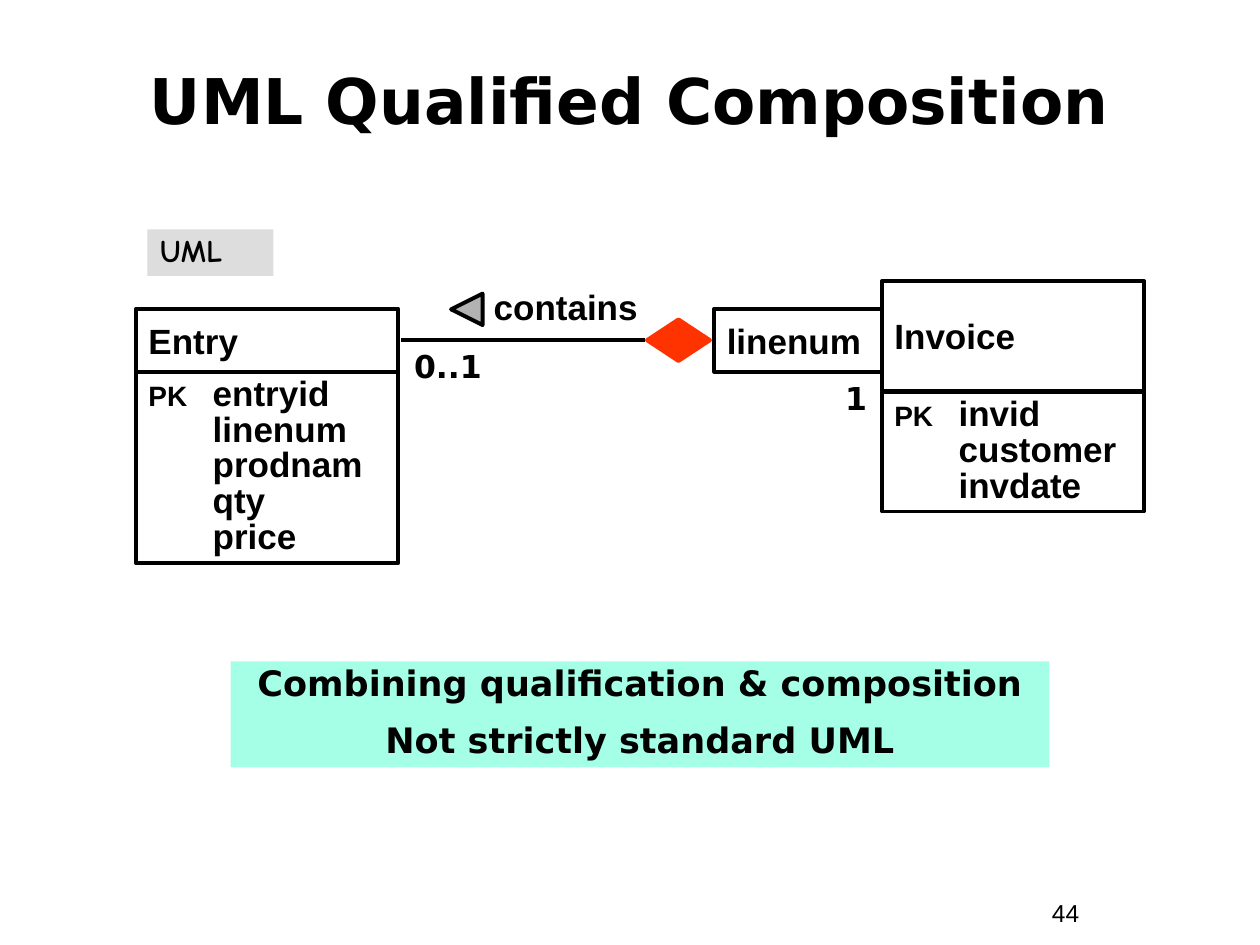
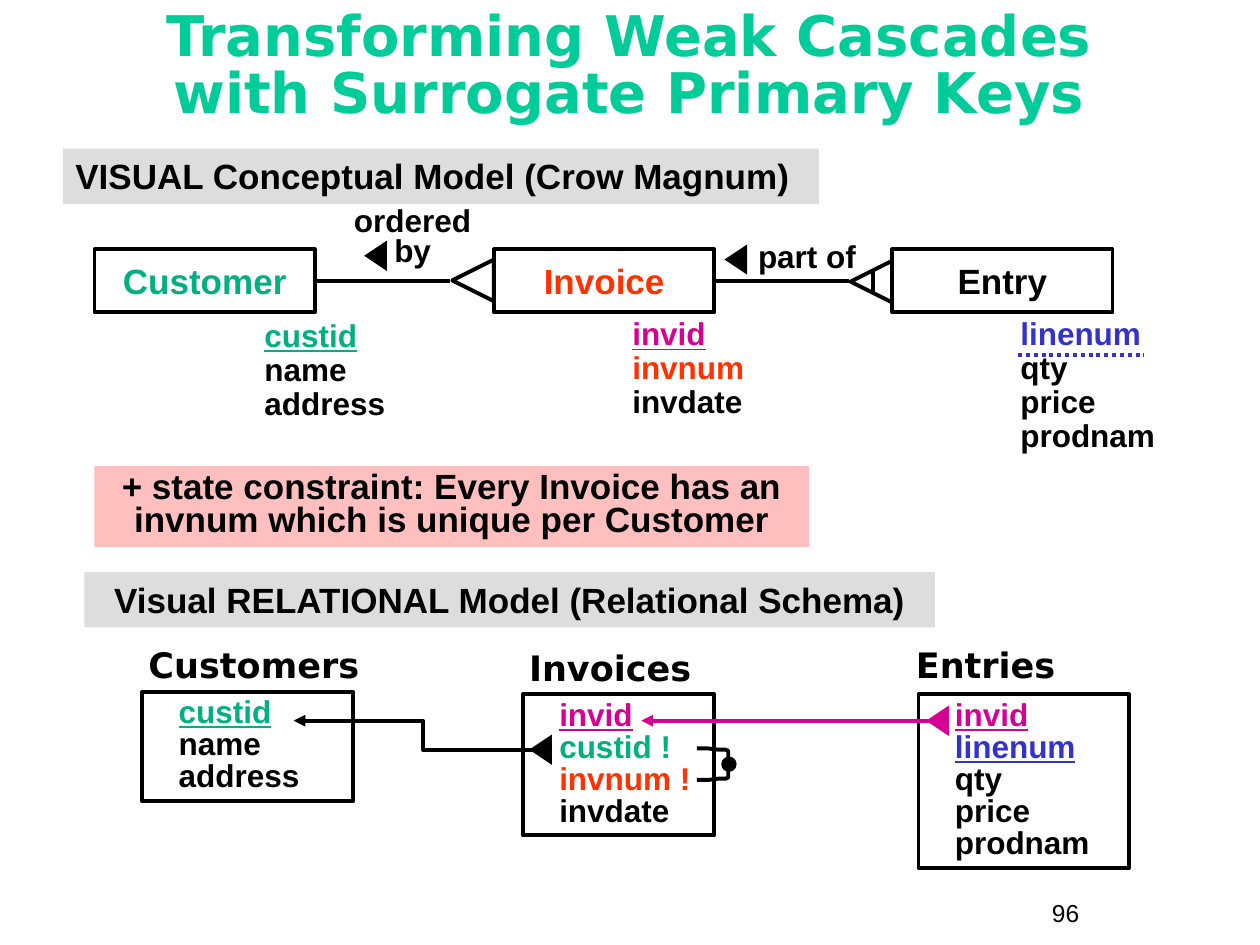
from typing import NamedTuple, Optional

from lxml import etree
from pptx import Presentation
from pptx.dml.color import RGBColor
from pptx.enum.dml import MSO_LINE_DASH_STYLE as DASH
from pptx.enum.shapes import MSO_CONNECTOR as CONN, MSO_SHAPE as SHAPE
from pptx.enum.text import MSO_ANCHOR as ANCHOR, MSO_AUTO_SIZE as AUTO, PP_ALIGN as ALIGN
from pptx.oxml.ns import qn
from pptx.util import Inches, Pt

SANS, DISPLAY, HAND = "Arial", "DejaVu Sans", "Comic Neue"
BLACK, GRAY, BAND = "000000", "B2B2B2", "DDDDDD"
MINT, PINK = "A5FFE7", "FFBFBF"
TEAL, GREEN, RED, MAGENTA, BLUE = "00CC99", "00B082", "FF3300", "D60093", "3333CC"
LINE_WIDTH = 2.25


class Run(NamedTuple):
    text: str
    color: str = BLACK
    underline: bool = False
    size: Optional[float] = None


def rgb(color):
    return RGBColor.from_string(color)


def write(tf, lines, size=20, font=SANS, align=ALIGN.LEFT, spacing=1.0, before=0,
          anchor=ANCHOR.TOP, indent=0, tab=None, bold=True):
    """Fill a text frame; each line is a string, a Run or a list of Runs."""
    tf.word_wrap = True
    tf.auto_size = AUTO.NONE
    tf.vertical_anchor = anchor
    for i, line in enumerate(lines):
        p = tf.paragraphs[0] if i == 0 else tf.add_paragraph()
        p.alignment, p.line_spacing = align, spacing
        p.space_before = Pt(before if i else 0)
        pPr = p._p.get_or_add_pPr()
        if indent:
            pPr.set("marL", str(Inches(indent)))
            pPr.set("indent", "0")
        if tab:
            tabs = etree.SubElement(pPr, qn("a:tabLst"))
            etree.SubElement(tabs, qn("a:tab"), pos=str(Inches(tab)), algn="l")
        if isinstance(line, str):
            line = Run(line)
        for run in [line] if isinstance(line, Run) else line:
            r = p.add_run()
            r.text = run.text
            r.font.name, r.font.bold = font, bold
            r.font.size = Pt(run.size or size)
            r.font.underline = run.underline
            r.font.color.rgb = rgb(run.color)


def paint(sp, fill=None, line=None):
    sp.shadow.inherit = False
    if fill:
        sp.fill.solid()
        sp.fill.fore_color.rgb = rgb(fill)
    else:
        sp.fill.background()
    if line:
        sp.line.color.rgb = rgb(line)
        sp.line.width = Pt(LINE_WIDTH)
    else:
        sp.line.fill.background()


def add_preset(slide, kind, at, fill=None, line=None, rotation=0):
    sp = slide.shapes.add_shape(kind, *map(Inches, at))
    sp.rotation = rotation
    paint(sp, fill, line)
    return sp


def add_box(slide, at, lines, fill=None, line=None, **style):
    sp = add_preset(slide, SHAPE.RECTANGLE, at, fill, line)
    write(sp.text_frame, lines, **style)


def add_label(slide, at, lines, **style):
    tb = slide.shapes.add_textbox(*map(Inches, at))
    write(tb.text_frame, lines, **style)


def add_entity(slide, at, name, color=BLACK, align=ALIGN.LEFT):
    add_box(slide, at, [Run(name, color)], line=BLACK, align=align, anchor=ANCHOR.MIDDLE)


def add_attributes(slide, at, names):
    """Attribute compartment whose first name is marked as primary key."""
    lines = [[Run("PK", size=16), Run("\t" + names[0])]] + ["\t" + n for n in names[1:]]
    add_box(slide, at, lines, line=BLACK, spacing=0.85, tab=0.51)


def add_table_box(slide, name, name_at, at, columns):
    """Relational table: its name above a framed list of columns."""
    add_label(slide, (*name_at, 2.15, 0.44), [name], font=DISPLAY)
    add_box(slide, at, columns, line=BLACK, size=18, spacing=0.85, indent=0.19)


def add_line(slide, start, end, color=BLACK, kind=CONN.STRAIGHT, arrow=False, dash=None):
    cn = slide.shapes.add_connector(kind, *map(Inches, (*start, *end)))
    cn.line.color.rgb = rgb(color)
    cn.line.width = Pt(LINE_WIDTH)
    if dash:
        cn.line.dash_style = dash
    if arrow:
        etree.SubElement(cn.line._get_or_add_ln(), qn("a:tailEnd"), type="triangle")
    etree.SubElement(cn._element.spPr, qn("a:effectLst"))


def add_pointer(slide, left, top, color=BLACK):
    """Small solid triangle pointing left."""
    add_preset(slide, SHAPE.ISOSCELES_TRIANGLE, (left, top, 0.24, 0.18), color, rotation=270)


def add_crow_foot(slide, left, top):
    add_preset(slide, SHAPE.FLOWCHART_EXTRACT, (left, top, 0.33, 0.33),
               line=BLACK, rotation=270)


def add_unique_bracket(slide, left, top):
    """Bracket with a dot that joins two columns into one unique key."""
    height = 0.25
    upper = [(0, 0), (0.09, 0), (0.17, 0.01), (0.23, 0.01), (0.25, 0.02)]
    lower = [(x, height - y) for x, y in reversed(upper)]
    points = [(Inches(left + x), Inches(top + y)) for x, y in upper + lower]
    fb = slide.shapes.build_freeform(*points[0])
    fb.add_line_segments(points[1:], close=False)
    paint(fb.convert_to_shape(), line=BLACK)
    add_preset(slide, SHAPE.OVAL, (left + 0.21, top + 0.08, 0.09, 0.09), BLACK, BLACK)


def add_slide(prs, number, title_lines, top, size, color, spacing=1.0):
    slide = prs.slides.add_slide(prs.slide_layouts[5])
    title = slide.shapes.title
    title.left, title.top, title.width, title.height = map(Inches, (0.33, top, 9.33, 0.92))
    write(title.text_frame, [Run(t, color) for t in title_lines], size=size, font=DISPLAY,
          align=ALIGN.CENTER, spacing=spacing, anchor=ANCHOR.MIDDLE)
    add_label(slide, (8.25, 7.08, 0.92, 0.34), [number], size=14, bold=False)
    return slide


def build_composition(prs):
    s = add_slide(prs, "44", ["UML Qualified Composition"], 0.33, 36, BLACK)
    add_box(s, (1.17, 1.82, 1, 0.37), ["UML"], fill=BAND, size=18, font=HAND, spacing=0.9)

    add_entity(s, (1.08, 2.45, 2.08, 0.5), "Entry")
    add_attributes(s, (1.08, 2.95, 2.08, 1.52),
                   ["entryid", "linenum", "prodnam", "qty", "price"])
    add_entity(s, (7, 2.23, 2.08, 0.87), "Invoice")
    add_attributes(s, (7, 3.11, 2.08, 0.95), ["invid", "customer", "invdate"])
    add_entity(s, (5.67, 2.45, 1.33, 0.5), "linenum")

    add_line(s, (3.18, 2.7), (5.12, 2.7))
    add_preset(s, SHAPE.FLOWCHART_SORT, (5.22, 2.45, 0.33, 0.5), RED, RED, rotation=270)
    add_label(s, (3.74, 2.22, 1.5, 0.44), ["contains"], align=ALIGN.CENTER)
    add_preset(s, SHAPE.ISOSCELES_TRIANGLE, (3.58, 2.33, 0.25, 0.25), GRAY, BLACK, rotation=270)
    for at, count in [((3.14, 2.74, 0.83, 0.37), "0..1"), ((6.42, 2.99, 0.75, 0.37), "1")]:
        add_label(s, at, [count], size=18, font=DISPLAY, align=ALIGN.CENTER, spacing=0.9)

    add_box(s, (1.83, 5.25, 6.5, 0.84),
            ["Combining qualification & composition", "Not strictly standard UML"],
            fill=MINT, font=DISPLAY, align=ALIGN.CENTER, spacing=0.85, before=12.5)


def build_conceptual_model(s):
    add_box(s, (0.5, 1.18, 6, 0.44), ["VISUAL Conceptual Model (Crow Magnum)"], fill=BAND)
    for left, name, color in [(0.75, "Customer", GREEN), (3.92, "Invoice", RED),
                              (7.08, "Entry", BLACK)]:
        add_entity(s, (left, 1.98, 1.75, 0.5), name, color, ALIGN.CENTER)

    add_line(s, (2.52, 2.23), (3.57, 2.23))
    add_line(s, (5.68, 2.23), (6.74, 2.23))
    add_crow_foot(s, 3.59, 2.06)
    add_crow_foot(s, 6.75, 2.07)
    add_line(s, (6.93, 2.14), (6.93, 2.33))
    add_label(s, (2.69, 1.6, 1.17, 0.58), ["ordered", "by"], size=18,
              align=ALIGN.CENTER, spacing=0.8)
    add_label(s, (5.82, 1.83, 1.17, 0.4), ["part of"], size=18, align=ALIGN.CENTER)
    add_pointer(s, 2.86, 1.94)
    add_pointer(s, 5.72, 1.97)

    for at, names in [
        ((2, 2.49, 1.25, 0.91), [Run("custid", GREEN, True), "name", "address"]),
        ((4.92, 2.48, 1.5, 0.91),
         [Run("invid", MAGENTA, True), Run("invnum", RED), "invdate"]),
        ((8, 2.48, 1.67, 1.18), [Run("linenum", BLUE), "qty", "price", "prodnam"]),
    ]:
        add_label(s, at, names, size=18, spacing=0.9)
    add_line(s, (8.08, 2.82), (9.08, 2.82), BLUE, dash=DASH.ROUND_DOT)

    add_box(s, (0.75, 3.7, 5.67, 0.64),
            ["+ state constraint: Every Invoice has an invnum which is unique per Customer"],
            fill=PINK, align=ALIGN.CENTER, spacing=0.8)


def build_relational_model(s):
    add_box(s, (0.67, 4.54, 6.75, 0.44), ["Visual RELATIONAL Model (Relational Schema)"],
            fill=BAND, align=ALIGN.CENTER)
    add_table_box(s, "Customers", (1.08, 5.06), (1.13, 5.49, 1.67, 0.87),
                  [Run("custid", GREEN, True), "name", "address"])
    add_table_box(s, "Invoices", (4.1, 5.08), (4.15, 5.51, 1.52, 1.12),
                  [Run("invid", MAGENTA, True), Run("custid !", GREEN),
                   Run("invnum !", RED), "invdate"])
    add_table_box(s, "Entries", (7.17, 5.06), (7.29, 5.51, 1.67, 1.38),
                  [Run("invid", MAGENTA, True), Run("linenum", BLUE, True),
                   "qty", "price", "prodnam"])

    add_line(s, (7.5, 5.72), (5.09, 5.72), MAGENTA, arrow=True)
    add_line(s, (4.38, 5.95), (2.33, 5.72), kind=CONN.ELBOW, arrow=True)
    add_pointer(s, 4.17, 5.86)
    add_pointer(s, 7.32, 5.63, MAGENTA)
    add_unique_bracket(s, 5.53, 5.94)


def build_weak_cascades(prs):
    s = add_slide(prs, "96", ["Transforming Weak Cascades", "with Surrogate Primary Keys"],
                  0.08, 32, TEAL, spacing=0.85)
    build_conceptual_model(s)
    build_relational_model(s)


def main():
    prs = Presentation()
    prs.slide_width, prs.slide_height = Inches(10), Inches(7.5)
    build_composition(prs)
    build_weak_cascades(prs)
    prs.save("out.pptx")


if __name__ == "__main__":
    main()
